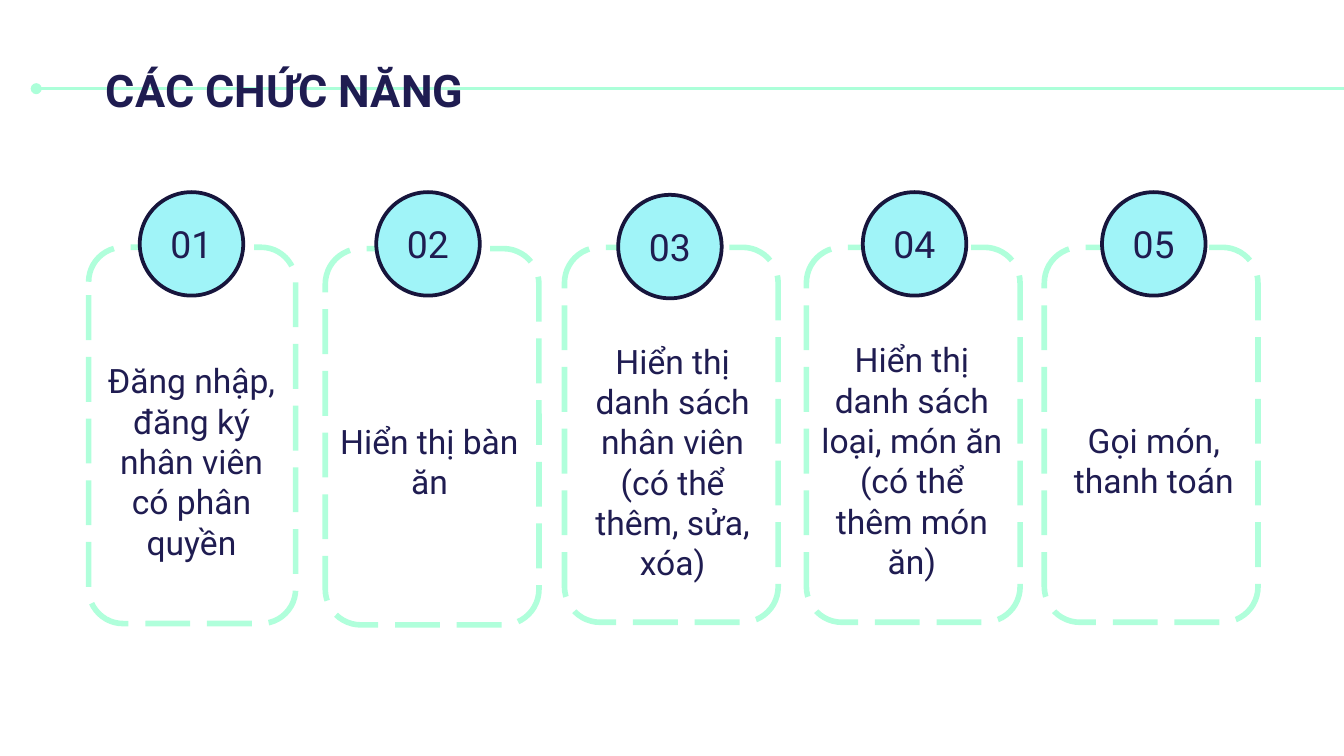
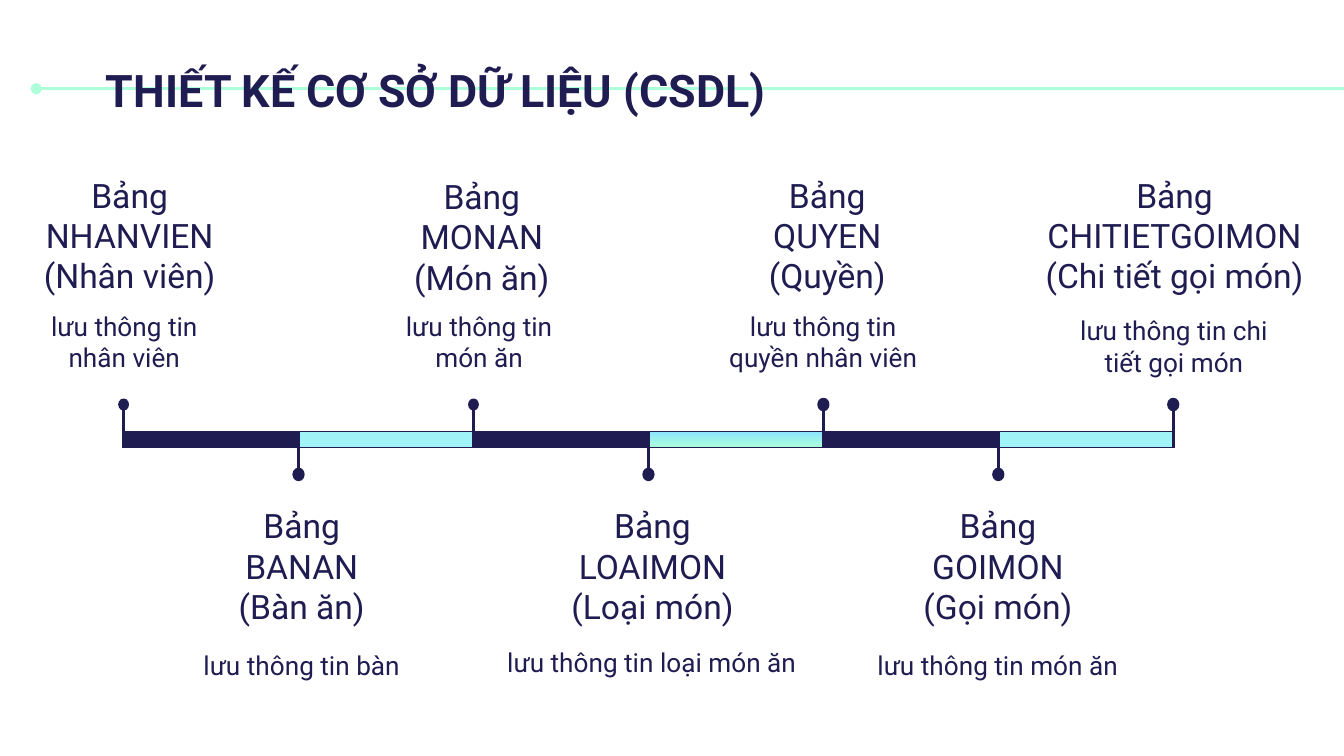
from typing import NamedTuple, Optional

from lxml import etree
from pptx import Presentation
from pptx.dml.color import RGBColor
from pptx.enum.dml import MSO_LINE
from pptx.enum.shapes import MSO_CONNECTOR, MSO_SHAPE
from pptx.enum.text import MSO_ANCHOR, PP_ALIGN
from pptx.oxml.ns import qn
from pptx.shapes.autoshape import Shape
from pptx.shapes.connector import Connector
from pptx.slide import Slide
from pptx.util import Inches, Pt

CENTER, LEFT = PP_ALIGN.CENTER, PP_ALIGN.LEFT
MIDDLE, TOP = MSO_ANCHOR.MIDDLE, MSO_ANCHOR.TOP
ROUNDED, RECTANGLE = MSO_SHAPE.ROUNDED_RECTANGLE, MSO_SHAPE.RECTANGLE
OVAL, BADGE = MSO_SHAPE.OVAL, MSO_SHAPE.FLOWCHART_CONNECTOR
STRAIGHT = MSO_CONNECTOR.STRAIGHT
LONG_DASH = MSO_LINE.LONG_DASH

SLIDE_WIDTH = Inches(10)
SLIDE_HEIGHT = SLIDE_WIDTH * 9 // 16

FONT = "Roboto"
NAVY, BADGE_EDGE = "1F1C51", "17153C"
AQUA, SKY = "A0F4F8", "8BE3FF"
MINT, CARD_MINT = "ACFFD9", "B0FFDB"

TIMELINE_START, TIMELINE_END = 0.92, 8.73
BAR_TOP, BAR_HEIGHT = 3.21, 0.12
STEM_LENGTH = 0.32
DOT_WIDTH, DOT_HEIGHT = 0.07, 0.08
BADGE_SIZE = 0.77


class Box(NamedTuple):
    left: float
    top: float
    width: float
    height: float


class Feature(NamedTuple):
    text: str
    text_box: Box
    frame: Box
    badge_left: float
    badge_top: float = 1.43


class Milestone(NamedTuple):
    heading: str
    heading_box: Box
    detail: str
    detail_box: Box
    dot_edge: float = 1.5
    bar_fill: Optional[str] = None
    bar_fade: Optional[str] = None


FEATURES = [
    Feature("Đăng nhập, đăng ký nhân viên có phân quyền",
            Box(0.63, 2.22, 1.59, 2.42), Box(0.66, 1.84, 1.54, 2.8), 1.04),
    Feature("Hiển thị bàn ăn",
            Box(2.4, 2.22, 1.59, 2.42), Box(2.42, 1.85, 1.59, 2.8), 2.8),
    Feature("Hiển thị danh sách nhân viên (có thể thêm, sửa, xóa)",
            Box(4.21, 2.23, 1.59, 2.41), Box(4.2, 1.84, 1.59, 2.79), 4.6, 1.45),
    Feature("Hiển thị danh sách loại, món ăn (có thể thêm món ăn)",
            Box(5.99, 2.22, 1.59, 2.41), Box(6, 1.84, 1.59, 2.79), 6.42),
    Feature("Gọi món, thanh toán",
            Box(7.79, 2.22, 1.59, 2.41), Box(7.77, 1.84, 1.59, 2.79), 8.2),
]

MILESTONES = [
    Milestone("Bảng NHANVIEN (Nhân viên)", Box(0.15, 1.2, 1.63, 1.03),
              "lưu thông tin nhân viên", Box(0.12, 2.21, 1.61, 0.59), 0.75, NAVY),
    Milestone("Bảng BANAN (Bàn ăn)", Box(1.44, 3.66, 1.61, 1.08),
              "lưu thông tin bàn", Box(1.35, 4.73, 1.79, 0.59), 1.5, AQUA),
    Milestone("Bảng MONAN (Món ăn)", Box(2.78, 1.21, 1.61, 1.03),
              "lưu thông tin món ăn", Box(2.76, 2.21, 1.61, 0.59), 0.75, NAVY),
    Milestone("Bảng LOAIMON (Loại món)", Box(4.05, 3.66, 1.61, 1.08),
              "lưu thông tin loại món ăn", Box(3.6, 4.71, 2.5, 0.59), 1.5, SKY, MINT),
    Milestone("Bảng QUYEN (Quyền)", Box(5.35, 1.2, 1.61, 1.18),
              "lưu thông tin quyền nhân viên", Box(5.32, 2.21, 1.61, 0.59), 1.5, NAVY),
    Milestone("Bảng GOIMON (Gọi món)", Box(6.62, 3.66, 1.61, 0.99),
              "lưu thông tin món ăn", Box(6.41, 4.73, 2.03, 0.59), 1.5, AQUA),
    Milestone("Bảng CHITIETGOIMON (Chi tiết gọi món)", Box(7.61, 1.2, 2.26, 1.08),
              "lưu thông tin chi tiết gọi món", Box(7.93, 2.24, 1.61, 0.59)),
]


def color(value: str) -> RGBColor:
    return RGBColor.from_string(value)


def write(shape: Shape, text: str, size: float, inset: float = 0.1,
          align: PP_ALIGN = CENTER, anchor: MSO_ANCHOR = TOP,
          bold: bool = False) -> None:
    frame = shape.text_frame
    frame.word_wrap = True
    frame.vertical_anchor = anchor
    frame.margin_left = frame.margin_right = Inches(inset)
    frame.margin_top = frame.margin_bottom = Inches(inset)
    paragraph = frame.paragraphs[0]
    paragraph.text = text
    paragraph.alignment = align
    paragraph.font.name = FONT
    paragraph.font.size = Pt(size)
    paragraph.font.bold = bold
    paragraph.font.color.rgb = color(NAVY)


def add_text(slide: Slide, box: Box, text: str, size: float,
             align: PP_ALIGN = CENTER, anchor: MSO_ANCHOR = TOP,
             bold: bool = False) -> None:
    label = slide.shapes.add_textbox(*map(Inches, box))
    write(label, text, size, align=align, anchor=anchor, bold=bold)


def add_figure(slide: Slide, kind: MSO_SHAPE, box: Box, fill: Optional[str],
               edge: str, edge_width: float, fade: Optional[str] = None) -> Shape:
    figure = slide.shapes.add_shape(kind, *map(Inches, box))
    figure.shadow.inherit = False
    if fill and fade:
        figure.fill.gradient()
        figure.fill.gradient_angle = 270
        for stop, shade in zip(figure.fill.gradient_stops, (fill, fade)):
            stop.color.rgb = color(shade)
    elif fill:
        figure.fill.solid()
        figure.fill.fore_color.rgb = color(fill)
    else:
        figure.fill.background()
    figure.line.color.rgb = color(edge)
    figure.line.width = Pt(edge_width)
    return figure


def add_line(slide: Slide, x1: float, y1: float, x2: float, y2: float,
             stroke: str) -> Connector:
    line = slide.shapes.add_connector(STRAIGHT, *map(Inches, (x1, y1, x2, y2)))
    line.line.color.rgb = color(stroke)
    line.line.width = Pt(1.5)
    etree.SubElement(line._element.spPr, qn("a:effectLst"))
    return line


def add_titled_slide(deck: Presentation, title: str) -> Slide:
    slide = deck.slides.add_slide(deck.slide_layouts[6])
    slide.background.fill.solid()
    slide.background.fill.fore_color.rgb = color("FFFFFF")
    rule = add_line(slide, 0.27, 0.66, 10.1, 0.66, MINT)
    etree.SubElement(rule.line._get_or_add_ln(), qn("a:headEnd"), type="oval")
    add_text(slide, Box(0.69, 0.37, 6.65, 0.59), title, 24, align=LEFT, bold=True)
    return slide


def build_features(deck: Presentation) -> None:
    slide = add_titled_slide(deck, "CÁC CHỨC NĂNG")
    for number, feature in enumerate(FEATURES, 1):
        add_text(slide, feature.text_box, feature.text, 18, anchor=MIDDLE)
        card = add_figure(slide, ROUNDED, feature.frame, None, CARD_MINT, 3)
        card.line.dash_style = LONG_DASH
        badge_box = Box(feature.badge_left, feature.badge_top, BADGE_SIZE, BADGE_SIZE)
        badge = add_figure(slide, BADGE, badge_box, AQUA, BADGE_EDGE, 2)
        write(badge, f"{number:02d}", 20, inset=0, anchor=MIDDLE)


def build_timeline(deck: Presentation) -> None:
    slide = add_titled_slide(deck, "THIẾT KẾ CƠ SỞ DỮ LIỆU (CSDL)")
    step = (TIMELINE_END - TIMELINE_START) / (len(MILESTONES) - 1)
    bar_bottom = BAR_TOP + BAR_HEIGHT
    for index, milestone in enumerate(MILESTONES):
        x = TIMELINE_START + index * step
        if milestone.bar_fill:
            add_figure(slide, RECTANGLE, Box(x, BAR_TOP, step, BAR_HEIGHT),
                       milestone.bar_fill, NAVY, 0.75, milestone.bar_fade)
        add_text(slide, milestone.heading_box, milestone.heading, 18)
        add_text(slide, milestone.detail_box, milestone.detail, 14)
    for index, milestone in enumerate(MILESTONES):
        x = TIMELINE_START + index * step
        above = index % 2 == 0
        base = bar_bottom if above else BAR_TOP
        tip = base - STEM_LENGTH if above else base + STEM_LENGTH
        add_line(slide, x, tip, x, base, NAVY)
        dot = Box(x - DOT_WIDTH / 2, tip - DOT_HEIGHT / 2, DOT_WIDTH, DOT_HEIGHT)
        add_figure(slide, OVAL, dot, NAVY, NAVY, milestone.dot_edge)


def main() -> None:
    deck = Presentation()
    deck.slide_width, deck.slide_height = SLIDE_WIDTH, SLIDE_HEIGHT
    build_features(deck)
    build_timeline(deck)
    deck.save("out.pptx")


if __name__ == "__main__":
    main()
